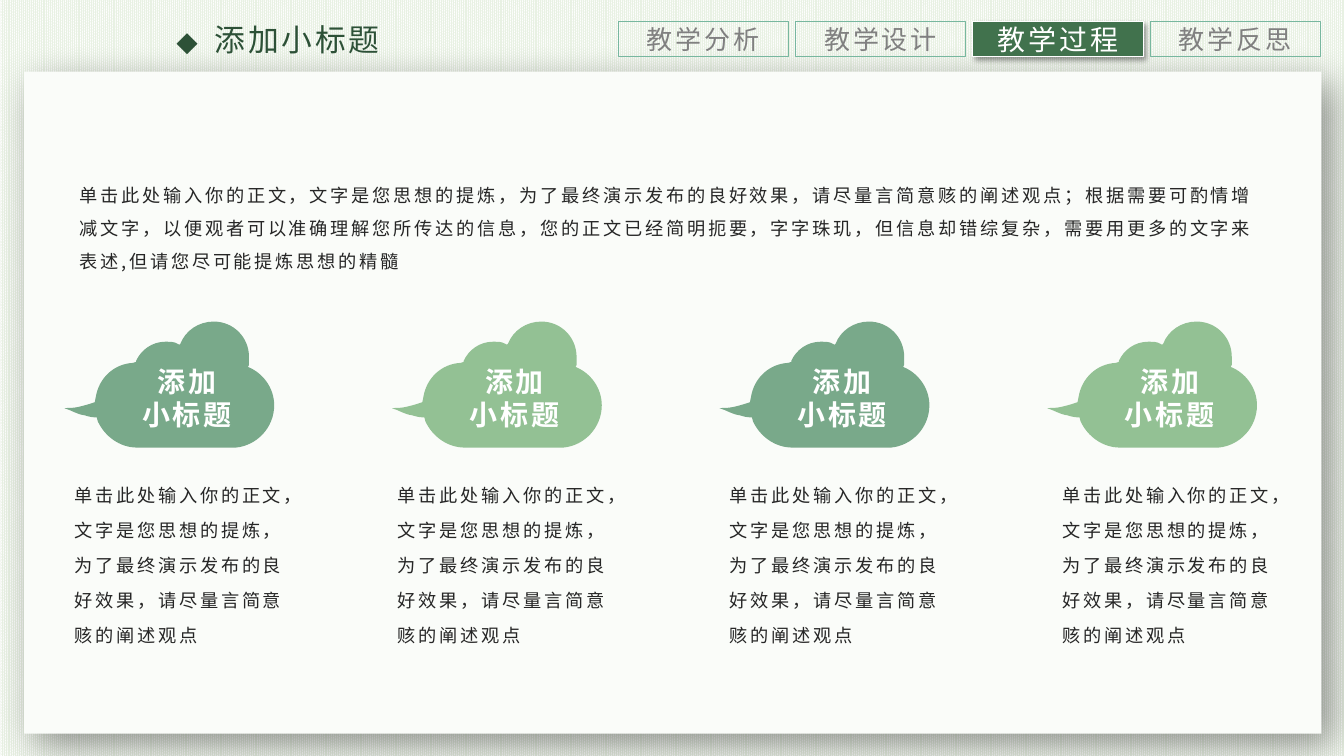
from lxml import etree
from pptx import Presentation
from pptx import util as u
from pptx.dml.color import RGBColor
from pptx.enum import dml, shapes, text
from pptx.oxml.ns import qn

FONT = "Noto Sans CJK SC"
DARK, GREEN, SAGE, LEAF = "2D5137", "41724D", "79A98A", "93C194"
BORDER, GREY, INK, WHITE, PAPER, MIST = "77B79F", "808080", "262626", "FFFFFF", "FAFCF9", "E8F1E3"

TABS = ["教学分析", "教学设计", "教学过程", "教学反思"]
ACTIVE_TAB = 2
INTRO = ("单击此处输入你的正文，文字是您思想的提炼，为了最终演示发布的良好效果，"
         "请尽量言简意赅的阐述观点；根据需要可酌情增减文字，以便观者可以准确理解您所传达的信息，"
         "您的正文已经简明扼要，字字珠玑，但信息却错综复杂，需要用更多的文字来表述,"
         "但请您尽可能提炼思想的精髓")
COLUMN_TEXT = "单击此处输入你的正文，文字是您思想的提炼，为了最终演示发布的良好效果，请尽量言简意赅的阐述观点"
COLUMN_LEFTS = [0.64, 3.85, 7.14, 10.44]
CLOUD_PITCH = 3.25

# Cloud outline in hundredths of an inch: two numbers make a line, six a curve.
CLOUD_START = (148, 0)
CLOUD = [
    (133, 0, 120, 9, 115, 22), (114, 23), (112, 22),
    (109, 20, 105, 20, 100, 20), (87, 20, 76, 28, 71, 39), (71, 40), (68, 41),
    (49, 42, 34, 56, 31, 75), (30, 80), (30, 80),
    (28, 81, 26, 81, 24, 82), (7, 87, 8, 85, 0, 86),
    (7, 88, 12, 92, 20, 93), (23, 94, 27, 95, 30, 95), (32, 95), (33, 99),
    (40, 114, 55, 125, 72, 125), (75, 125), (163, 125), (166, 125), (169, 125), (170, 125),
    (191, 123, 208, 105, 208, 83), (208, 66, 197, 51, 182, 45), (182, 45), (183, 43),
    (183, 40, 183, 38, 183, 35), (183, 16, 168, 0, 148, 0),
]


def color(value):
    return RGBColor.from_string(value)


def place(shape, box):
    shape.left, shape.top, shape.width, shape.height = map(u.Inches, box)


def write(shape, content, size, ink, bold=False, pitch=None,
          align=text.PP_ALIGN.LEFT, anchor=text.MSO_ANCHOR.TOP):
    """Fill a shape with text, one paragraph a line; pitch is the line height in points."""
    frame = shape.text_frame
    frame.word_wrap = True
    frame.auto_size = text.MSO_AUTO_SIZE.NONE
    frame.vertical_anchor = anchor
    frame.text = content
    for paragraph in frame.paragraphs:
        paragraph.alignment = align
        paragraph.space_before = u.Pt(0)
        if pitch:
            paragraph.line_spacing = u.Pt(pitch)
        for run in paragraph.runs:
            font = run.font
            font.name, font.size, font.bold = FONT, u.Pt(size), bold
            font.color.rgb = color(ink)
            properties = run._r.get_or_add_rPr()
            properties.set("spc", "200")
            etree.SubElement(properties, qn("a:ea")).set("typeface", FONT)


def add_text(slide, box, content, **style):
    shape = slide.shapes.add_textbox(*map(u.Inches, box))
    write(shape, content, **style)


def add_panel(slide, box, fill=None, line=None):
    shape = slide.shapes.add_shape(shapes.MSO_SHAPE.RECTANGLE, *map(u.Inches, box))
    shape.shadow.inherit = False
    if fill:
        shape.fill.solid()
        shape.fill.fore_color.rgb = color(fill)
    else:
        shape.fill.background()
    if line:
        shape.line.color.rgb = color(line)
        shape.line.width = u.Pt(0.5)
    else:
        shape.line.fill.background()
    return shape


def add_shadow(shape, blur, distance, angle):
    effects = shape._element.spPr.find(qn("a:effectLst"))
    shadow = etree.SubElement(effects, qn("a:outerShdw"), blurRad=str(u.Pt(blur)),
                              dist=str(u.Pt(distance)), dir=str(angle * 60000),
                              algn="tl", rotWithShape="0")
    shade = etree.SubElement(shadow, qn("a:srgbClr"), val="000000")
    etree.SubElement(shade, qn("a:alpha"), val="40000")


def add_backdrop(slide, width, height):
    backdrop = add_panel(slide, (0, 0, width, height))
    backdrop.fill.patterned()
    backdrop.fill.pattern = dml.MSO_PATTERN.PERCENT_90
    backdrop.fill.fore_color.rgb = color(MIST)
    backdrop.fill.back_color.rgb = color(WHITE)
    sheet = add_panel(slide, (0.24, 0.71, 12.87, 6.57), PAPER)
    add_shadow(sheet, 28, 12, 49)


def add_tabs(slide, left, top, width, height, pitch):
    for index, label in enumerate(TABS):
        box = (left + index * pitch, top, width, height)
        active = index == ACTIVE_TAB
        if active:
            tab = add_panel(slide, box, GREEN, WHITE)
            add_shadow(tab, 4, 3, 45)
        else:
            tab = add_panel(slide, box, line=BORDER)
        write(tab, label, size=20 if active else 18.6, ink=WHITE if active else GREY,
              align=text.PP_ALIGN.CENTER, anchor=text.MSO_ANCHOR.MIDDLE)


def add_heading(slide, box):
    title = slide.shapes.title
    slide.shapes._spTree.append(title._element)  # in front of the backdrop
    place(title, box)
    write(title, "添加小标题", size=22, ink=DARK, anchor=text.MSO_ANCHOR.MIDDLE)
    properties = title.text_frame.paragraphs[0]._p.get_or_add_pPr()
    properties.set("marL", str(u.Inches(0.38)))
    properties.set("indent", str(u.Inches(-0.38)))
    etree.SubElement(properties, qn("a:buFont")).set("typeface", FONT)
    etree.SubElement(properties, qn("a:buChar")).set("char", "⬥")


def bend_outline(shape, unit):
    """Turn the straight lines of the cloud into curves where the outline has them."""
    lines = list(shape._element.iter(qn("a:lnTo")))
    for line, segment in zip(lines, CLOUD):
        if len(segment) == 6:
            curve = etree.Element(qn("a:cubicBezTo"))
            for x, y in zip(segment[::2], segment[1::2]):
                etree.SubElement(curve, qn("a:pt"), x=str(x * unit), y=str(y * unit))
            line.getparent().replace(line, curve)


def add_cloud(slide, left, top, fill):
    unit = u.Inches(0.01)
    start_x, start_y = (value * unit for value in CLOUD_START)
    builder = slide.shapes.build_freeform(start_x, start_y)
    builder.add_line_segments([(x * unit, y * unit) for *_, x, y in CLOUD])
    cloud = builder.convert_to_shape(u.Inches(left), u.Inches(top))
    bend_outline(cloud, unit)
    cloud.shadow.inherit = False
    cloud.fill.solid()
    cloud.fill.fore_color.rgb = color(fill)
    cloud.line.fill.background()
    add_text(slide, (left + 0.56, top + 0.37, 1.31, 0.77), "添加\n小标题",
             size=20, ink=WHITE, bold=True, pitch=24.2, align=text.PP_ALIGN.CENTER)


def add_columns(slide, cloud_top, text_top):
    for index, left in enumerate(COLUMN_LEFTS):
        add_cloud(slide, COLUMN_LEFTS[0] + index * CLOUD_PITCH, cloud_top, (SAGE, LEAF)[index % 2])
        add_text(slide, (left, text_top, 2.43, 1.85), COLUMN_TEXT, size=13, ink=INK, pitch=25)


def main():
    presentation = Presentation()
    presentation.slide_height = u.Inches(7.5)
    presentation.slide_width = presentation.slide_height * 16 // 9
    slide = presentation.slides.add_slide(presentation.slide_layouts[5])
    add_backdrop(slide, presentation.slide_width / u.Inches(1), 7.5)
    add_tabs(slide, 6.13, 0.21, 1.69, 0.35, pitch=1.76)
    add_heading(slide, (1.65, 0.15, 2.57, 0.47))
    add_text(slide, (0.69, 1.67, 11.93, 1.09), INTRO, size=13, ink=INK, pitch=23.6)
    add_columns(slide, cloud_top=3.19, text_top=4.62)
    presentation.save("out.pptx")


if __name__ == "__main__":
    main()
